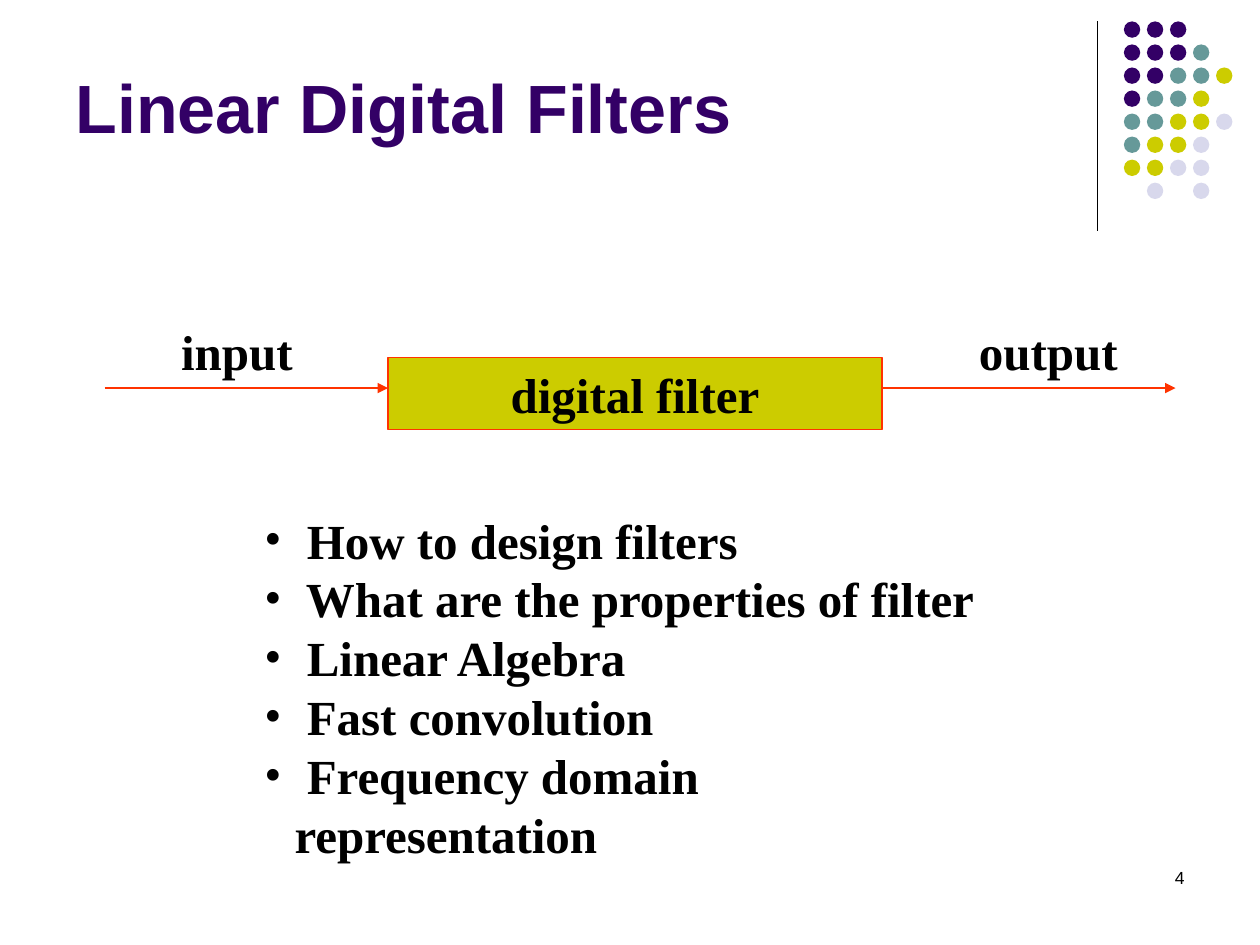
from lxml import etree
from pptx import Presentation
from pptx.dml.color import RGBColor
from pptx.enum.shapes import MSO_CONNECTOR, MSO_SHAPE
from pptx.enum.text import MSO_ANCHOR, PP_ALIGN
from pptx.oxml.ns import qn
from pptx.util import Inches, Pt

STRAIGHT = MSO_CONNECTOR.STRAIGHT
OVAL, RECT = MSO_SHAPE.OVAL, MSO_SHAPE.RECTANGLE
LEFT, CENTER, RIGHT = PP_ALIGN.LEFT, PP_ALIGN.CENTER, PP_ALIGN.RIGHT
MIDDLE, TOP = MSO_ANCHOR.MIDDLE, MSO_ANCHOR.TOP

BLACK = RGBColor(0x00, 0x00, 0x00)
PURPLE = RGBColor(0x33, 0x00, 0x66)
TEAL = RGBColor(0x66, 0x99, 0x99)
OLIVE = RGBColor(0xCC, 0xCC, 0x00)
LILAC = RGBColor(0xD8, 0xD8, 0xEC)
ORANGE = RGBColor(0xFF, 0x33, 0x00)

SANS, SERIF = "Arial", "Times New Roman"
BODY_SIZE, BODY_LEADING = 28, 33.6
ARROW_Y = 3.08
FILTER_LEFT, FILTER_WIDTH = 3.08, 3.92

DOT_COLORS = {"P": PURPLE, "T": TEAL, "O": OLIVE, "L": LILAC}
DOT_ROWS = ["PPP", "PPPT", "PPTTO", "PTTO", "TTOOL", "TOOL", "OOLL", " L L"]
DOT_LEFT, DOT_TOP, DOT_SIZE = 8.92, 0.17, 0.13
DOT_PITCH = 1.28 / (len(DOT_ROWS) - 1)

TOPICS = [
    " How to design filters",
    " What are the properties of filter",
    " Linear Algebra",
    " Fast convolution",
    " Frequency domain representation",
]


def add_run(p, text, size, font, color, bold=True):
    r = p.add_run()
    r.text = text
    r.font.size = Pt(size)
    r.font.name = font
    r.font.bold = bold
    r.font.color.rgb = color


def add_body_text(tf, lines, align):
    for i, text in enumerate(lines):
        p = tf.paragraphs[0] if i == 0 else tf.add_paragraph()
        p.alignment = align
        p.line_spacing = Pt(BODY_LEADING)
        add_run(p, text, BODY_SIZE, SERIF, BLACK)


def add_box(s, left, top, width, height, side_margin=0.1):
    sp = s.shapes.add_textbox(*map(Inches, (left, top, width, height)))
    tf = sp.text_frame
    tf.word_wrap = True
    tf.vertical_anchor = TOP
    tf.margin_left = tf.margin_right = Inches(side_margin)
    return tf


def add_filled(s, preset, left, top, width, height, fill):
    sp = s.shapes.add_shape(preset, *map(Inches, (left, top, width, height)))
    sp.shadow.inherit = False
    sp.fill.solid()
    sp.fill.fore_color.rgb = fill
    sp.line.fill.background()
    return sp


def add_line(s, x1, y1, x2, y2, color, arrow=False):
    line = s.shapes.add_connector(STRAIGHT, *map(Inches, (x1, y1, x2, y2)))
    line.line.color.rgb = color
    line.line.width = Pt(0.75)
    if arrow:
        ln = line.line._get_or_add_ln()
        etree.SubElement(ln, qn("a:tailEnd"), type="triangle")
    etree.SubElement(line._element.spPr, qn("a:effectLst"))


def add_dots(s):
    for row, codes in enumerate(DOT_ROWS):
        for col, code in enumerate(codes):
            if code in DOT_COLORS:
                add_filled(s, OVAL, DOT_LEFT + col * DOT_PITCH,
                           DOT_TOP + row * DOT_PITCH,
                           DOT_SIZE, DOT_SIZE, DOT_COLORS[code])


def add_title(s, text):
    sp = s.shapes.title
    sp.left, sp.top, sp.width, sp.height = map(Inches, (0.5, 0.13, 8.25, 1.42))
    tf = sp.text_frame
    tf.vertical_anchor = MIDDLE
    p = tf.paragraphs[0]
    p.alignment = LEFT
    add_run(p, text, 39, SANS, PURPLE)


def add_filter_diagram(s):
    filter_right = FILTER_LEFT + FILTER_WIDTH
    sp = add_filled(s, RECT, FILTER_LEFT, 2.84, FILTER_WIDTH, 0.57, OLIVE)
    sp.line.color.rgb = ORANGE
    sp.line.width = Pt(0.75)
    sp.text_frame.vertical_anchor = MIDDLE
    add_body_text(sp.text_frame, ["digital filter"], CENTER)
    for start, end in [(filter_right, 9.33), (0.83, FILTER_LEFT)]:
        add_line(s, start, ARROW_Y, end, ARROW_Y, ORANGE, arrow=True)
    for text, left, width in [("input", 1.34, 1.08), ("output", 7.67, 1.3)]:
        tf = add_box(s, left, 2.5, width, 0.57, side_margin=0)
        add_body_text(tf, [text], CENTER)


def add_bullets(s, lines):
    tf = add_box(s, 2, 4, 6.06, 2.44)
    add_body_text(tf, lines, LEFT)
    for p in tf.paragraphs:
        pPr = p._p.get_or_add_pPr()
        pPr.set("marL", str(Inches(0.24)))
        pPr.set("indent", str(-Inches(0.24)))
        etree.SubElement(pPr, qn("a:buFont"), typeface=SERIF)
        etree.SubElement(pPr, qn("a:buChar"), char="•")


def add_page_number(s, number):
    p = add_box(s, 7.17, 6.83, 2.33, 0.5).paragraphs[0]
    p.alignment = RIGHT
    add_run(p, number, 10, SANS, BLACK, bold=False)


def main():
    prs = Presentation()
    prs.slide_width, prs.slide_height = Inches(10), Inches(7.5)
    s = prs.slides.add_slide(prs.slide_layouts[5])
    add_line(s, 8.71, 0.17, 8.71, 1.83, BLACK)
    add_dots(s)
    add_title(s, "Linear Digital Filters")
    add_filter_diagram(s)
    add_bullets(s, TOPICS)
    add_page_number(s, "4")
    prs.save("out.pptx")


if __name__ == "__main__":
    main()
